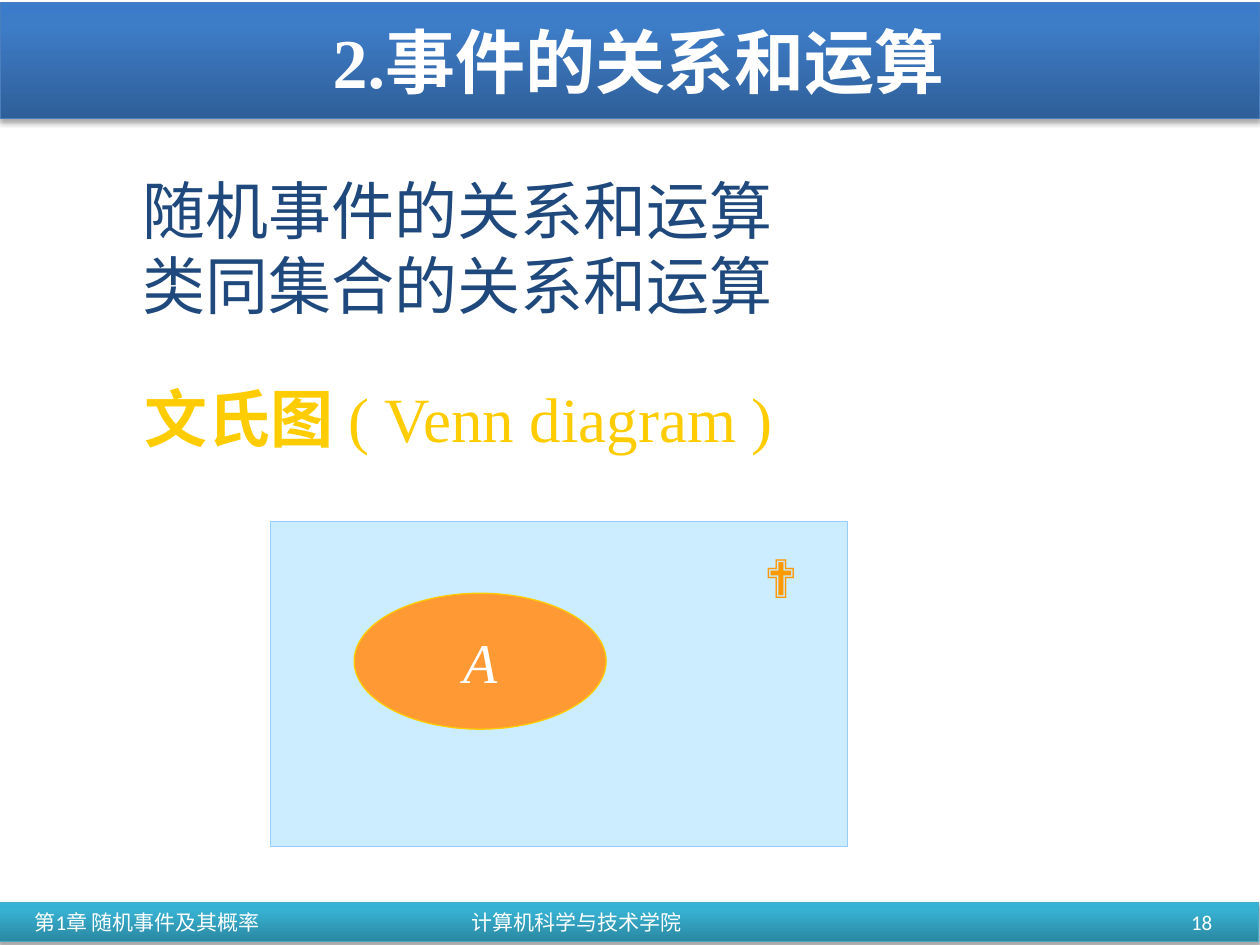
from copy import deepcopy
from dataclasses import dataclass

from lxml.etree import SubElement
from pptx import Presentation
from pptx.dml.color import RGBColor
from pptx.enum.shapes import MSO_SHAPE
from pptx.enum.text import MSO_ANCHOR, MSO_AUTO_SIZE, PP_ALIGN
from pptx.oxml.ns import qn
from pptx.util import Cm, Pt

WHITE = RGBColor(0xFF, 0xFF, 0xFF)
NAVY = RGBColor(0x1F, 0x49, 0x7D)
GOLD = RGBColor(0xFF, 0xCC, 0x00)
ORANGE = RGBColor(0xFF, 0x99, 0x33)
SIGN_ORANGE = RGBColor(0xFF, 0x99, 0x00)
PALE_BLUE = RGBColor(0xCC, 0xEC, 0xFF)
SKY_BLUE = RGBColor(0x99, 0xCC, 0xFF)
TEAL_LINE = RGBColor(0x46, 0xAA, 0xC5)
TEAL_STOPS = (RGBColor(0x2A, 0x88, 0xA2), RGBColor(0x37, 0xB1, 0xD2), RGBColor(0x34, 0xB4, 0xD6))
BLUE_LINE = RGBColor(0x4B, 0x7E, 0xBC)
BLUE_STOPS = (RGBColor(0x2F, 0x5F, 0x99), RGBColor(0x3D, 0x7C, 0xC7), RGBColor(0x3A, 0x7C, 0xCB))
STOP_POSITIONS = (0, 0.8, 1)
SERIF = "Times New Roman"
SANS = "Calibri"


@dataclass(frozen=True)
class Box:
    left: float
    top: float
    width: float
    height: float

    def lengths(self):
        return Cm(self.left), Cm(self.top), Cm(self.width), Cm(self.height)


@dataclass(frozen=True)
class Style:
    font: str
    size: float
    color: RGBColor
    bold: bool = False
    italic: bool = False


@dataclass(frozen=True)
class Band:
    box: Box
    stops: tuple
    line: RGBColor


@dataclass(frozen=True)
class Label:
    box: Box
    text: str
    style: Style
    align: PP_ALIGN = PP_ALIGN.LEFT
    grows: bool = True


FOOTER = Style(SANS, 12, WHITE)
BANDS = (
    Band(Box(-0.03, 18.19, 25.4, 0.79), TEAL_STOPS, TEAL_LINE),
    Band(Box(0, 0.05, 25.4, 2.34), BLUE_STOPS, BLUE_LINE),
)
LABELS = (
    Label(Box(0.45, 18.08, 7, 1.02), "第1章 随机事件及其概率", FOOTER, grows=False),
    Label(Box(9.25, 18.08, 7, 1.02), "计算机科学与技术学院", FOOTER, grows=False),
    Label(Box(18.77, 18.08, 5.92, 1.02), "18", FOOTER, PP_ALIGN.RIGHT, grows=False),
    Label(Box(15.19, 10.82, 1.96, 1.6), "✟", Style(SERIF, 32, SIGN_ORANGE)),
    Label(Box(2.62, 3.33, 13.21, 3.3), "随机事件的关系和运算\n类同集合的关系和运算", Style(SERIF, 36, NAVY)),
)


def format_run(run, style: Style) -> None:
    run.font.name = style.font
    run.font.size = Pt(style.size)
    run.font.color.rgb = style.color
    run.font.bold = style.bold
    run.font.italic = style.italic


def format_frame(frame, style: Style, align: PP_ALIGN) -> None:
    for paragraph in frame.paragraphs:
        paragraph.alignment = align
        for run in paragraph.runs:
            format_run(run, style)


def add_outlined(slide, kind: MSO_SHAPE, box: Box, line: RGBColor):
    outlined = slide.shapes.add_shape(kind, *box.lengths())
    outlined.shadow.inherit = False
    outlined.line.color.rgb = line
    outlined.line.width = Pt(0.75)
    return outlined


def add_band(slide, band: Band) -> None:
    strip = add_outlined(slide, MSO_SHAPE.RECTANGLE, band.box, band.line)
    strip.fill.gradient()
    strip.fill.gradient_angle = 90
    stop_list = next(strip._element.iter(qn("a:gsLst")))
    stop_list.append(deepcopy(stop_list[-1]))
    for stop, position, color in zip(strip.fill.gradient_stops, STOP_POSITIONS, band.stops):
        stop.position = position
        stop.color.rgb = color
    effects = next(strip._element.iter(qn("a:effectLst")))
    shadow = SubElement(effects, qn("a:outerShdw"), blurRad=str(Pt(3.1)),
                        dist=str(Pt(1.8)), dir="5400000", rotWithShape="0")
    shade = SubElement(shadow, qn("a:srgbClr"), val="000000")
    SubElement(shade, qn("a:alpha"), val="35000")


def add_label(slide, label: Label):
    frame = slide.shapes.add_textbox(*label.box.lengths()).text_frame
    frame.text = label.text
    frame.word_wrap = not label.grows
    if label.grows:
        frame.auto_size = MSO_AUTO_SIZE.SHAPE_TO_FIT_TEXT
    else:
        frame.vertical_anchor = MSO_ANCHOR.MIDDLE
    format_frame(frame, label.style, label.align)
    return frame


def add_venn_diagram(slide) -> None:
    sample_space = add_outlined(slide, MSO_SHAPE.RECTANGLE, Box(5.46, 10.52, 11.63, 6.55), SKY_BLUE)
    sample_space.fill.solid()
    sample_space.fill.fore_color.rgb = PALE_BLUE
    event = add_outlined(slide, MSO_SHAPE.OVAL, Box(7.14, 11.96, 5.08, 2.74), GOLD)
    event.fill.solid()
    event.fill.fore_color.rgb = ORANGE
    event.text_frame.text = "A"
    event.text_frame.word_wrap = False
    event.text_frame.vertical_anchor = MSO_ANCHOR.MIDDLE
    format_frame(event.text_frame, Style(SERIF, 32, WHITE, italic=True), PP_ALIGN.CENTER)


def set_title(slide) -> None:
    title = slide.shapes.title
    title.left, title.top, title.width, title.height = Box(1.27, 0.25, 22.86, 1.96).lengths()
    title.text_frame.text = " 2.事件的关系和运算"
    title.text_frame.vertical_anchor = MSO_ANCHOR.MIDDLE
    format_frame(title.text_frame, Style(SERIF, 40, WHITE, bold=True), PP_ALIGN.CENTER)
    slide.shapes._spTree.append(title._element)


def main() -> None:
    deck = Presentation()
    deck.slide_width, deck.slide_height = Cm(25.4), Cm(19.05)
    slide = deck.slides.add_slide(deck.slide_layouts[5])
    for band in BANDS:
        add_band(slide, band)
    add_venn_diagram(slide)
    for label in LABELS:
        add_label(slide, label)
    venn_term = Label(Box(2.67, 7.52, 14, 1.78), "文氏图 ", Style(SERIF, 36, GOLD, bold=True))
    translation = add_label(slide, venn_term).paragraphs[0].add_run()
    translation.text = "( Venn diagram )"
    format_run(translation, Style(SERIF, 36, GOLD))
    set_title(slide)
    deck.save("out.pptx")


if __name__ == "__main__":
    main()
